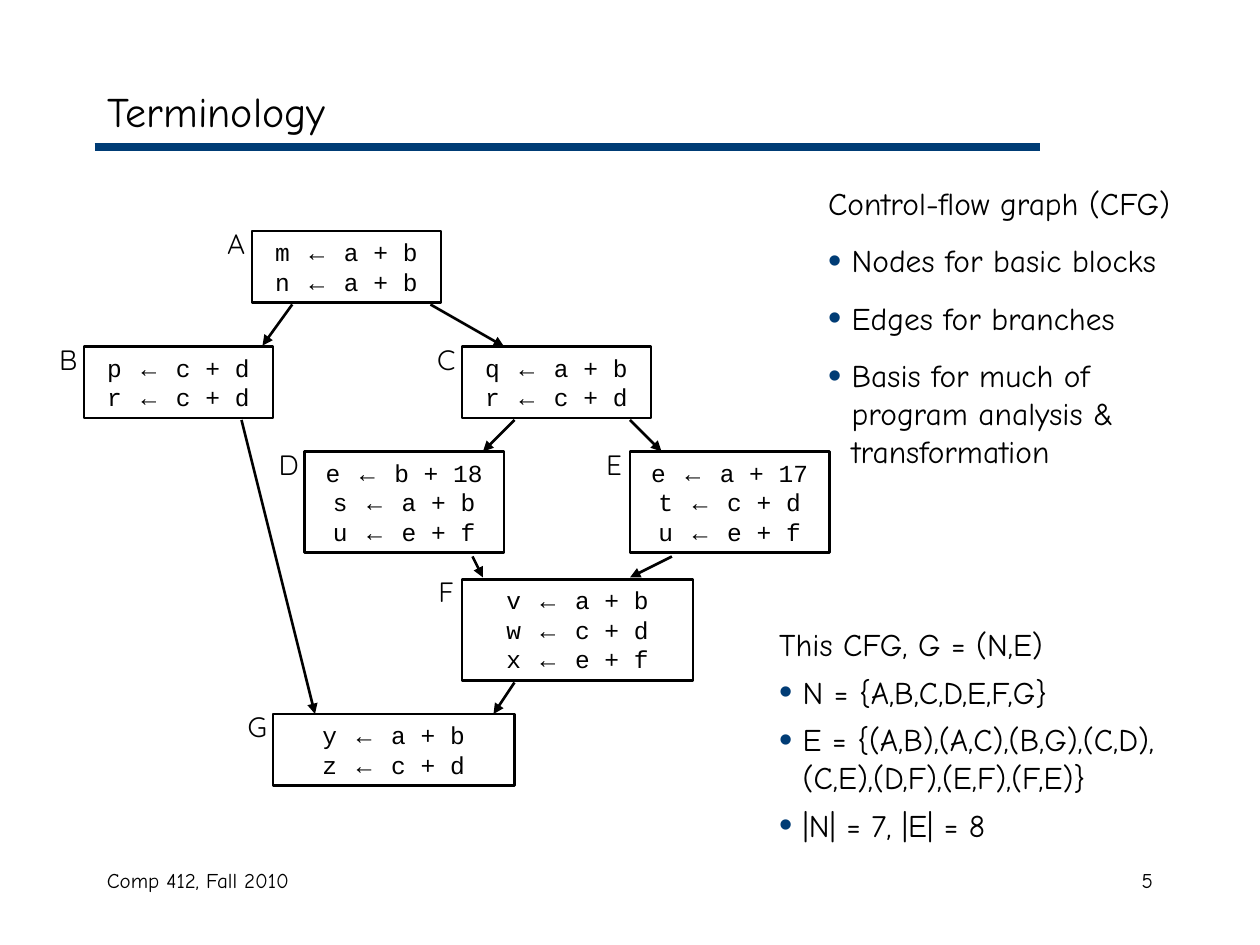
from dataclasses import dataclass

from lxml.etree import SubElement
from pptx import Presentation
from pptx.dml.color import RGBColor
from pptx.enum.shapes import MSO_CONNECTOR, MSO_SHAPE
from pptx.enum.text import MSO_ANCHOR, MSO_AUTO_SIZE, PP_ALIGN
from pptx.oxml.ns import qn
from pptx.util import Pt


@dataclass(frozen=True)
class Theme:
    ink: RGBColor = RGBColor(0x00, 0x00, 0x00)
    accent: RGBColor = RGBColor(0x00, 0x3C, 0x75)
    body_font: str = "Comic Neue"
    label_font: str = "Quicksand"
    code_font: str = "Courier New"
    arrow_font: str = "Arial"
    title_size: int = 24
    list_size: int = 18
    label_size: int = 16
    code_size: int = 14
    footer_size: int = 12
    outline: float = 1.5
    rule: float = 4.5


THEME = Theme()
ARROW = "←"
LIST_INDENT = 13.5

# Basic blocks: name, left, top, width, statements (points)
BLOCKS = [
    ("A", 144, 132, 108, ["m ← a + b", "n ← a + b"]),
    ("B", 48, 198, 108, ["p ← c + d", "r ← c + d"]),
    ("C", 264, 198, 108, ["q ← a + b", "r ← c + d"]),
    ("D", 174, 258, 114, ["e ← b + 18", "s ← a + b", "u ← e + f"]),
    ("E", 360, 258, 114, ["e ← a + 17", "t ← c + d", "u ← e + f"]),
    ("F", 264, 331, 132, ["v ← a + b", "w ← c + d", "x ← e + f"]),
    ("G", 156, 408, 138, ["y ← a + b", "z ← c + d"]),
]

# Branches: start x, start y, end x, end y (points)
BRANCHES = [
    (167, 174, 150, 197.5),   # A to B
    (246, 174, 288, 198),     # A to C
    (138, 240, 180, 408),     # B to G
    (294, 240, 276, 258),     # C to D
    (360, 240, 378, 258),     # C to E
    (270, 318, 276, 330),     # D to F
    (384, 318, 360, 330),     # E to F
    (294, 390, 282, 408),     # F to G
]


def place(shape, left, top, width, height):
    shape.left, shape.top = Pt(left), Pt(top)
    shape.width, shape.height = Pt(width), Pt(height)


def write_text(paragraph, text, *, size, font=THEME.body_font,
               align=PP_ALIGN.LEFT, before=0):
    """Write text in one format, with assignment arrows in their own font."""
    paragraph.alignment = align
    paragraph.space_before = Pt(before)
    left_side, arrow, right_side = text.partition(ARROW)
    for part in filter(None, (left_side, arrow, right_side)):
        run = paragraph.add_run()
        run.text = part
        run.font.name = THEME.arrow_font if part == ARROW else font
        run.font.size = Pt(size)
        run.font.color.rgb = THEME.ink


def next_paragraph(frame, index):
    return frame.add_paragraph() if index else frame.paragraphs[0]


def set_bullet(paragraph, bulleted):
    properties = paragraph._p.get_or_add_pPr()
    properties.set("marL", str(Pt(LIST_INDENT)))
    properties.set("indent", str(-Pt(LIST_INDENT)))
    if not bulleted:
        SubElement(properties, qn("a:buNone"))
        return
    color = SubElement(properties, qn("a:buClr"))
    SubElement(color, qn("a:srgbClr"), val=str(THEME.accent))
    SubElement(properties, qn("a:buSzPct"), val="120000")
    SubElement(properties, qn("a:buChar"), char="•")


def fill_title(placeholder, text):
    place(placeholder, 54, 42, 612, 42)
    frame = placeholder.text_frame
    frame.vertical_anchor = MSO_ANCHOR.MIDDLE
    frame.auto_size = MSO_AUTO_SIZE.NONE
    write_text(frame.paragraphs[0], text, size=THEME.title_size)


def fill_list(placeholder, box, heading, items, before):
    place(placeholder, *box)
    frame = placeholder.text_frame
    frame.vertical_anchor = MSO_ANCHOR.TOP
    frame.auto_size = MSO_AUTO_SIZE.NONE
    for index, text in enumerate([heading, *items]):
        paragraph = next_paragraph(frame, index)
        set_bullet(paragraph, bulleted=index > 0)
        write_text(paragraph, text, size=THEME.list_size,
                   before=before if index else 0)


def add_label(slide, box, text, **text_format):
    label = slide.shapes.add_textbox(*map(Pt, box))
    label.text_frame.word_wrap = True
    write_text(label.text_frame.paragraphs[0], text, **text_format)


def add_line(slide, ends, color, width, arrowhead=False):
    connector = slide.shapes.add_connector(MSO_CONNECTOR.STRAIGHT, *map(Pt, ends))
    connector.line.color.rgb = color
    connector.line.width = Pt(width)
    properties = connector.element.spPr
    if arrowhead:
        SubElement(properties.find(qn("a:ln")), qn("a:tailEnd"), type="triangle")
    SubElement(properties, qn("a:effectLst"))


def add_block(slide, name, left, top, width, statements):
    height = 7.4 + 16.8 * len(statements)
    block = slide.shapes.add_shape(
        MSO_SHAPE.RECTANGLE, *map(Pt, (left, top, width, height)))
    block.shadow.inherit = False
    block.fill.background()
    block.line.color.rgb = THEME.ink
    block.line.width = Pt(THEME.outline)
    frame = block.text_frame
    frame.vertical_anchor = MSO_ANCHOR.TOP
    for index, statement in enumerate(statements):
        write_text(next_paragraph(frame, index), statement, size=THEME.code_size,
                   font=THEME.code_font, align=PP_ALIGN.CENTER)
    add_label(slide, (left - 24, top - 6, 30, 26.6), name, size=THEME.label_size,
              font=THEME.label_font, align=PP_ALIGN.CENTER)


def main():
    presentation = Presentation()
    presentation.slide_width, presentation.slide_height = Pt(720), Pt(540)
    slide = presentation.slides.add_slide(
        presentation.slide_layouts.get_by_name("Two Content"))
    title, graph_list, example_list = slide.placeholders

    # Title, rule and footer
    fill_title(title, "Terminology")
    add_line(slide, (54, 84, 594, 84), THEME.accent, THEME.rule)
    add_label(slide, (54, 492, 228, 36), "Comp 412, Fall 2010",
              size=THEME.footer_size)
    add_label(slide, (516, 492, 150, 36), "5", size=THEME.footer_size,
              align=PP_ALIGN.RIGHT)

    # Control-flow graph
    for block in BLOCKS:
        add_block(slide, *block)
    for branch in BRANCHES:
        add_line(slide, branch, THEME.ink, THEME.outline, arrowhead=True)

    # Explanations
    fill_list(graph_list, (466, 101.5, 232, 170.5), "Control-flow graph (CFG)",
              ["Nodes for basic blocks", "Edges for branches",
               "Basis for much of program analysis & transformation"], before=11.2)
    fill_list(example_list, (438, 353.5, 268.5, 132.5), "This CFG, G = (N,E)",
              ["N = {A,B,C,D,E,F,G}",
               "E = {(A,B),(A,C),(B,G),(C,D), (C,E),(D,F),(E,F),(F,E)}",
               "|N| = 7, |E| = 8"], before=5.6)

    presentation.save("out.pptx")


if __name__ == "__main__":
    main()
